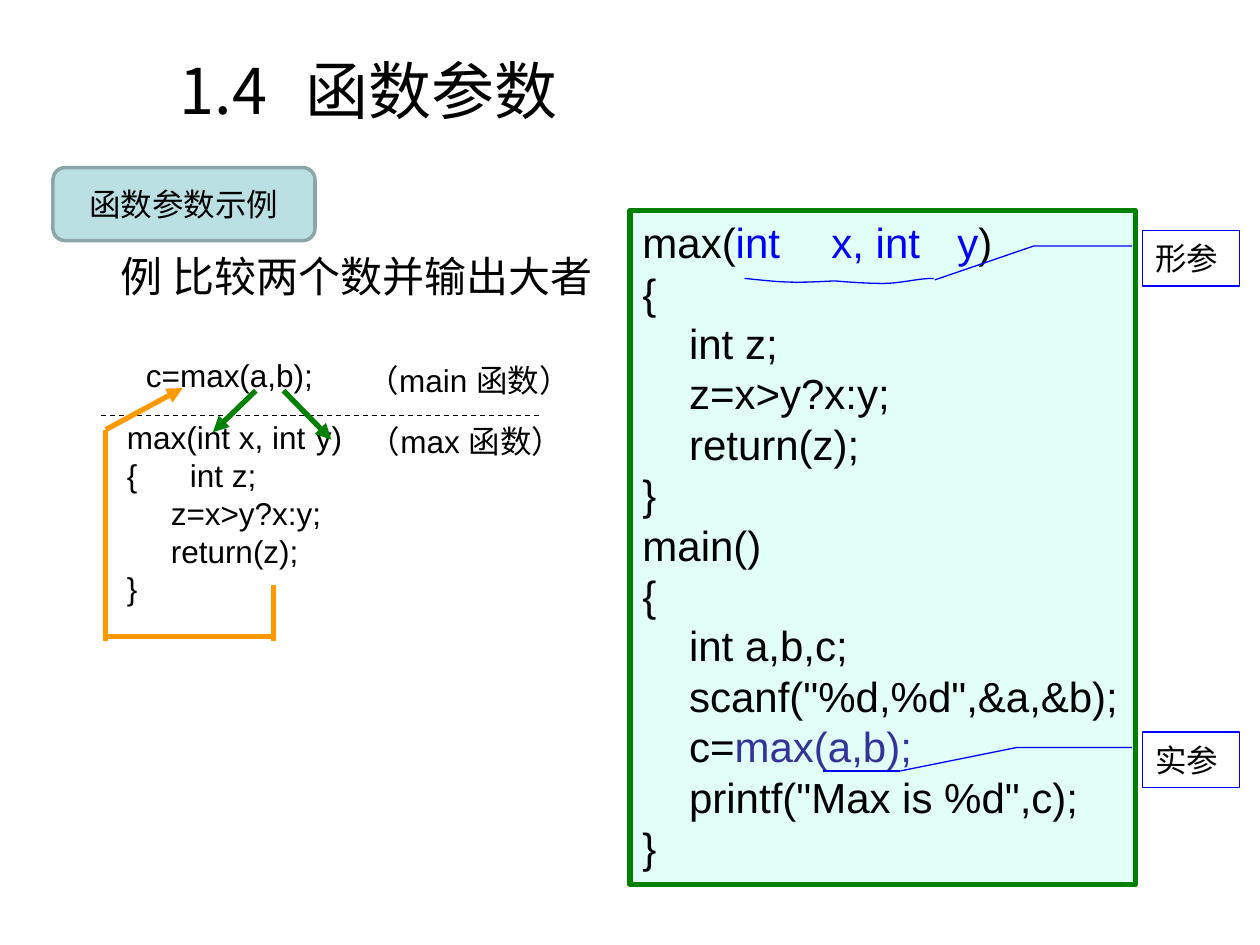
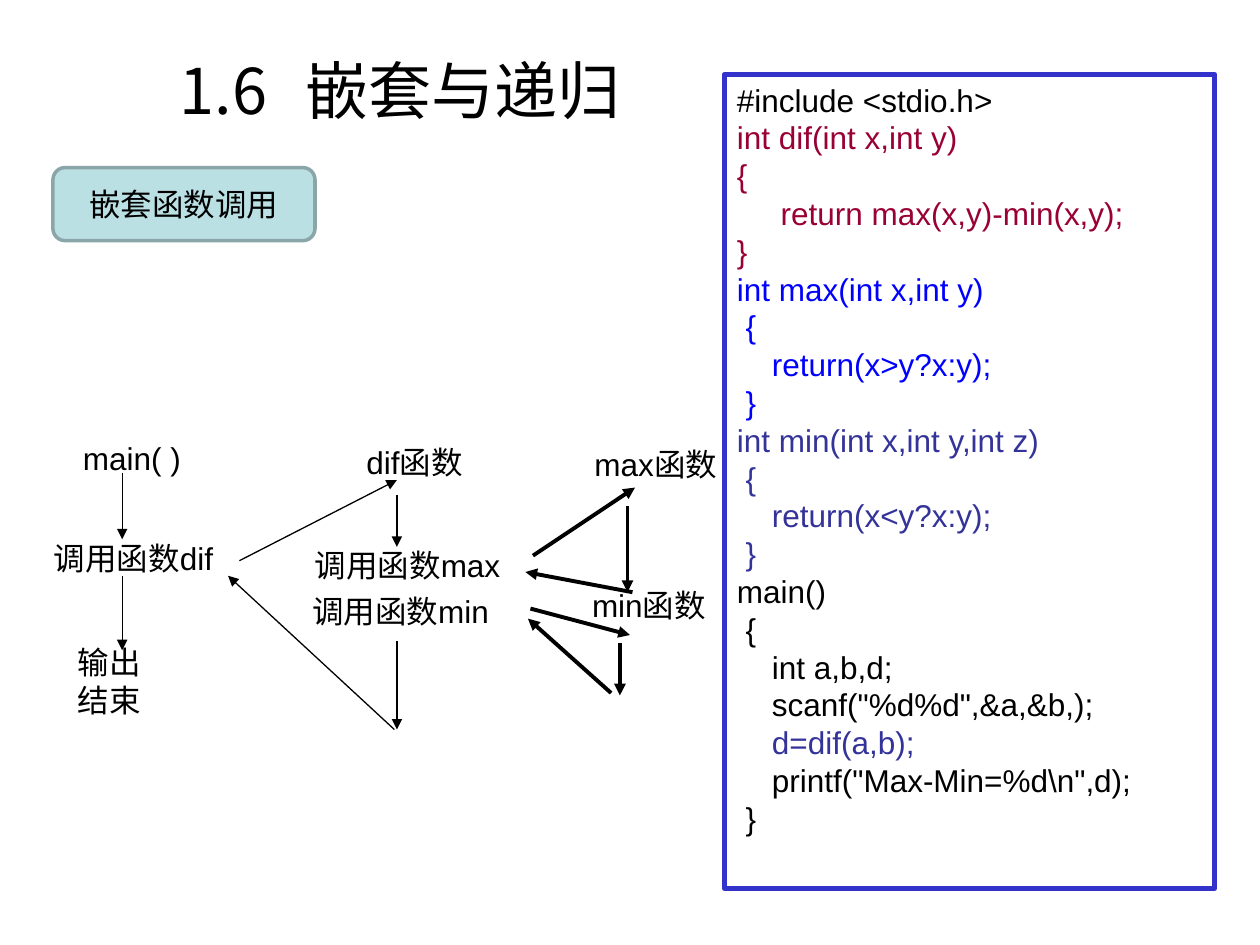
from lxml.etree import SubElement
from pptx import Presentation
from pptx.dml.color import RGBColor
from pptx.enum.dml import MSO_LINE
from pptx.enum.shapes import MSO_CONNECTOR, MSO_SHAPE
from pptx.enum.text import MSO_ANCHOR as Anchor, PP_ALIGN as Align
from pptx.oxml.ns import qn
from pptx.util import Inches, Pt

COLORS = {
    "black": "000000", "white": "FFFFFF", "green": "008000", "orange": "FF9900",
    "blue": "0000FF", "navy": "333399", "wine": "990033", "frame": "3333CC",
    "mint": "E1FFF7", "badge": "BBE0E3", "badge_line": "8AA6A8",
}
CJK_FONT = "Noto Sans CJK SC"
SPACE_WIDTH = 0.278 / 72


def write_text(shape, lines, size=18, font="Arial", align=Align.LEFT, tabs={}, **frame_format):
    frame = shape.text_frame
    for name, value in {"word_wrap": False, "vertical_anchor": Anchor.TOP, **frame_format}.items():
        setattr(frame, name, value)
    for number, line in enumerate(lines):
        paragraph = frame.paragraphs[0] if number == 0 else frame.add_paragraph()
        paragraph.alignment = align
        runs = [("black", line)] if isinstance(line, str) else line
        first = runs[0][1]
        depth = len(first) - len(first.lstrip())
        properties = paragraph._p.get_or_add_pPr()
        properties.set("marL", str(Inches(depth * size * SPACE_WIDTH)))
        properties.set("indent", "0")
        if number in tabs:
            stops = SubElement(properties, qn("a:tabLst"))
            for position in tabs[number]:
                SubElement(stops, qn("a:tab"), pos=str(Inches(position)), algn="l")
        for index, (color, text) in enumerate(runs):
            run = paragraph.add_run()
            run.text = text.lstrip() if index == 0 else text
            for name, value in {"size": Pt(size), "name": font, "bold": False}.items():
                setattr(run.font, name, value)
            run.font.color.rgb = RGBColor.from_string(COLORS[color])
            SubElement(run._r.get_or_add_rPr(), qn("a:ea"), typeface=CJK_FONT)


def style_shape(shape, line_color, width, fill=None):
    shape.shadow.inherit = False
    if fill:
        shape.fill.solid()
        shape.fill.fore_color.rgb = RGBColor.from_string(COLORS[fill])
    else:
        shape.fill.background()
    shape.line.color.rgb = RGBColor.from_string(COLORS[line_color])
    shape.line.width = Pt(width)
    return shape


presentation = Presentation()
presentation.slide_width, presentation.slide_height = Inches(10), Inches(7.5)

max_code = [
    [("black", "max("), ("blue", "int\tx, int\ty"), ("black", ")")],
    "{", "    int z;", "    z=x>y?x:y;", "    return(z);", "}",
    "main()", "{", "    int a,b,c;", '    scanf("%d,%d",&a,&b);',
    [("black", "    c="), ("navy", "max(a,b);")],
    '    printf("Max is %d",c);', "}",
]
dif_sections = [
    ("black", ["#include <stdio.h>"]),
    ("wine", ["int dif(int x,int y)", "{", "     return max(x,y)-min(x,y);", "}"]),
    ("blue", ["int max(int x,int y)", " {", "    return(x>y?x:y);", " }"]),
    ("navy", ["int min(int x,int y,int z)", " {", "    return(x<y?x:y);", " }"]),
    ("black", ["main()", " {", "    int a,b,d;", '    scanf("%d%d",&a,&b,);']),
    ("navy", ["    d=dif(a,b);"]),
    ("black", ['    printf("Max-Min=%d\\n",d);', " }"]),
]
dif_code = [[(color, line)] for color, lines in dif_sections for line in lines]

max_body = ["max(int x, int\ty)", "{\tint z;", "     z=x>y?x:y;", "     return(z);", "}"]

pages = [
    {
        "title": "1.4\t函数参数",
        "badge": "函数参数示例",
        "panel": (5, 1.67, 4.01, 5.35, "mint", "green"),
        "code": (max_code, 24, {0: [1.27, 2.16]}),
        "anchor": Anchor.TOP,
        "labels": [
            (0.86, 1.94, 3.95, 0.5, ["例 比较两个数并输出大者"], 24, {}),
            (1.06, 2.78, 1.55, 0.43, ["c=max(a,b);"], 18, {}),
            (2.82, 2.82, 1.94, 0.43, ["（main 函数）"], 18, {}),
            (2.83, 3.3, 1.86, 0.43, ["（max 函数）"], 18, {}),
            (0.91, 3.27, 2.07, 1.77, max_body, 18, {0: [1.55], 1: [0.29]}),
        ],
        "lines": [
            ("black", 0.75, "dash", [(0.8, 3.3, 4.31, 3.3)]),
            ("green", 3, "arrow", [(2.03, 3.1, 1.69, 3.43), (2.25, 3.1, 2.63, 3.49)]),
            ("orange", 3, "plain", [(2.17, 4.64, 2.17, 5.09), (2.19, 5.05, 0.86, 5.05),
                                    (0.84, 5.09, 0.84, 3.41)]),
            ("orange", 3, "arrow", [(0.84, 3.41, 1.45, 3.08)]),
            ("blue", 0.75, "plain", [(6.53, 6.12, 7.14, 6.12)]),
        ],
        "callouts": [
            (1.83, "形参", (0.281, -0.109, 0.281, -1.127, 0.891, -2.145)),
            (5.81, "实参", (0.281, -0.109, 0.281, -1.303, 0.703, -2.498)),
        ],
        "underline": [
            ((5.91, 2.21), (6.2, 2.24), (6.27, 2.25), (6.62, 2.23)),
            ((6.62, 2.23), (6.75, 2.24), (6.88, 2.25), (7.01, 2.25)),
            ((7.01, 2.25), (7.15, 2.25), (7.28, 2.21), (7.41, 2.21)),
        ],
    },
    {
        "title": "1.6\t嵌套与递归",
        "badge": "嵌套函数调用",
        "panel": (5.75, 0.59, 3.89, 6.46, "white", "frame"),
        "code": (dif_code, 18, {}),
        "anchor": Anchor.MIDDLE,
        "labels": [
            (0.56, 3.42, 1.01, 0.43, ["main( )"], 18, {}),
            (0.33, 4.21, 1.62, 0.43, ["调用函数dif"], 18, {}),
            (0.52, 5.02, 0.76, 0.77, ["输出", "结束"], 18, {}),
            (2.81, 3.45, 1.06, 0.43, ["dif函数"], 18, {}),
            (4.62, 3.47, 1.23, 0.43, ["max函数"], 18, {}),
            (2.4, 4.27, 1.79, 0.43, ["调用函数max"], 18, {}),
            (2.38, 4.63, 1.74, 0.43, ["调用函数min"], 18, {}),
            (4.6, 4.59, 1.19, 0.43, ["min函数"], 18, {}),
        ],
        "lines": [
            ("black", 0.75, "arrow", [
                (0.97, 3.75, 0.97, 4.28), (0.97, 4.57, 0.97, 5.16), (1.9, 4.45, 3.15, 3.81),
                (3.15, 3.93, 3.15, 4.34), (3.15, 5.09, 3.15, 5.79), (3.13, 5.79, 1.81, 4.57)]),
            ("black", 2.25, "arrow", [
                (4.23, 4.41, 5.04, 3.87), (4.98, 4.02, 4.98, 4.7), (5.02, 4.7, 4.17, 4.54),
                (4.21, 4.83, 5, 5.04), (4.92, 5.1, 4.92, 5.52), (4.85, 5.5, 4.19, 4.91)]),
        ],
        "callouts": [],
        "underline": [],
    },
]

for page in pages:
    slide = presentation.slides.add_slide(presentation.slide_layouts[6])
    shapes = slide.shapes

    title = shapes.add_textbox(Inches(1.33), Inches(0.25), Inches(8.17), Inches(0.92))
    write_text(title, [page["title"]], 36, CJK_FONT, tabs={0: [1.05]},
               word_wrap=True, vertical_anchor=Anchor.MIDDLE)

    *box, fill, border = page["panel"]
    panel = shapes.add_shape(MSO_SHAPE.RECTANGLE, *map(Inches, box))
    style_shape(panel, border, 3, fill)
    code, size, tabs = page["code"]
    write_text(panel, code, size, tabs=tabs, word_wrap=True)

    for *box, lines, size, tabs in page["labels"]:
        label = shapes.add_textbox(*map(Inches, box))
        write_text(label, lines, size, tabs=tabs, vertical_anchor=page["anchor"])

    for color, width, kind, segments in page["lines"]:
        for segment in segments:
            connector = shapes.add_connector(MSO_CONNECTOR.STRAIGHT, *map(Inches, segment))
            connector.line.color.rgb = RGBColor.from_string(COLORS[color])
            connector.line.width = Pt(width)
            if kind == "dash":
                connector.line.dash_style = MSO_LINE.DASH
            if kind == "arrow":
                SubElement(connector.line._get_or_add_ln(), qn("a:tailEnd"), type="triangle")
            SubElement(connector._element.spPr, qn("a:effectLst"))

    for top, text, adjustments in page["callouts"]:
        callout = shapes.add_shape(MSO_SHAPE.LINE_CALLOUT_2, Inches(9.07), Inches(top),
                                   Inches(0.77), Inches(0.44))
        style_shape(callout, "blue", 0.75, "white")
        for index, value in enumerate(adjustments):
            callout.adjustments[index] = value
        write_text(callout, [text], vertical_anchor=Anchor.MIDDLE)

    if page["underline"]:
        points = []
        for curve in page["underline"]:
            for step in range(9):
                t = step / 8
                weights = ((1 - t) ** 3, 3 * t * (1 - t) ** 2, 3 * t * t * (1 - t), t ** 3)
                points.append(tuple(Inches(sum(w * p[axis] for w, p in zip(weights, curve)))
                                    for axis in (0, 1)))
        builder = shapes.build_freeform(*points[0])
        builder.add_line_segments(points[1:], close=False)
        style_shape(builder.convert_to_shape(), "blue", 0.75)

    badge = shapes.add_shape(MSO_SHAPE.ROUNDED_RECTANGLE, Inches(0.42), Inches(1.33),
                             Inches(2.08), Inches(0.58))
    style_shape(badge, "badge_line", 2, "badge")
    write_text(badge, [page["badge"]], align=Align.CENTER, word_wrap=True,
               vertical_anchor=Anchor.MIDDLE)

presentation.save("out.pptx")
